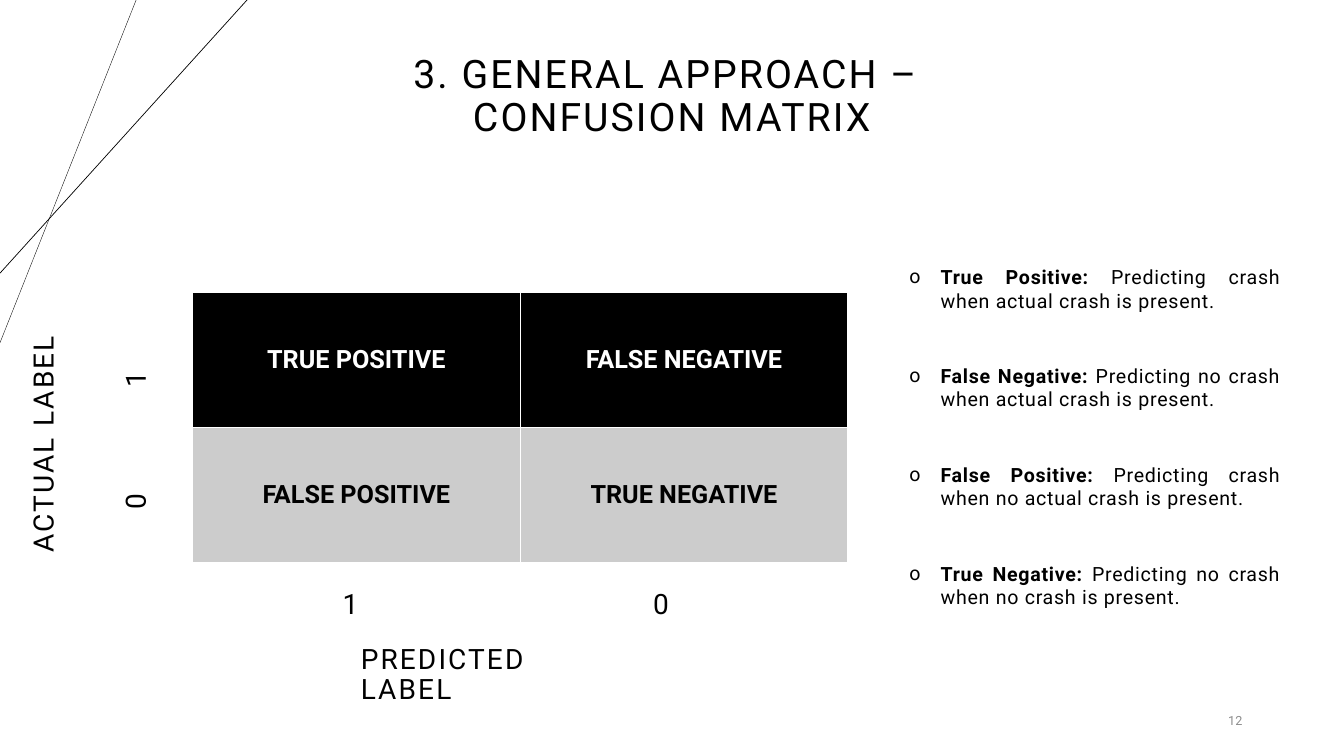
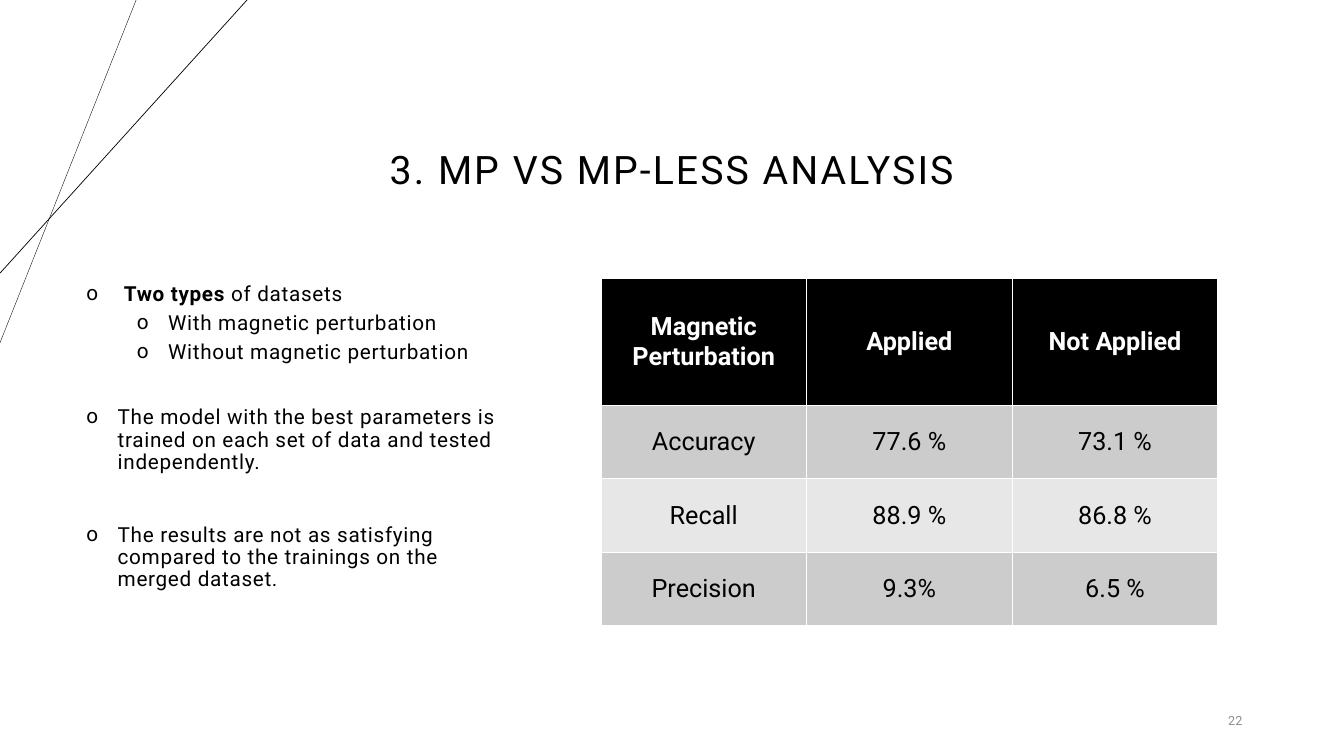
from pptx import Presentation
from pptx.dml.color import RGBColor
from pptx.enum.shapes import MSO_CONNECTOR
from pptx.enum.text import MSO_ANCHOR, PP_ALIGN
from pptx.oxml.ns import qn
from pptx.util import Inches, Pt
from lxml.etree import SubElement

BLACK = RGBColor(0x00, 0x00, 0x00)
WHITE = RGBColor(0xFF, 0xFF, 0xFF)
GREY = RGBColor(0xCC, 0xCC, 0xCC)
PALE = RGBColor(0xE7, 0xE7, 0xE7)
DIM = RGBColor(0x8C, 0x8C, 0x8C)
FONT = "Roboto"

TITLE = {"size": Pt(28)}
LABEL = {"size": Pt(20)}
NUMBER = {"size": Pt(9)}
CELL = {"size": Pt(18)}


def fill(para, runs, form, color=BLACK, track=0, bullet=None, **layout):
    """Write (text, bold) runs; track is letter spacing in points, bullet its indent in inches."""
    if bullet:
        left, hang = bullet
        props = para._p.get_or_add_pPr()
        props.set("marL", str(Inches(left)))
        props.set("indent", str(-Inches(hang)))
        SubElement(props, qn("a:buFont")).set("typeface", FONT)
        SubElement(props, qn("a:buChar")).set("char", "o")
    for name, value in layout.items():
        setattr(para, name, value)
    for text, bold in runs:
        for num, part in enumerate(text.split("\n")):
            if num:
                para.add_line_break()
            run = para.add_run()
            run.text = part
            for name, value in {"name": FONT, "bold": bold, **form}.items():
                setattr(run.font, name, value)
            run.font.color.rgb = color
            if track:
                run._r.get_or_add_rPr().set("spc", str(int(track * 100)))


def box(slide, place, anchor=MSO_ANCHOR.TOP, turn=0):
    shape = slide.shapes.add_textbox(*map(Inches, place))
    shape.rotation = turn
    frame = shape.text_frame
    frame.word_wrap = True
    frame.vertical_anchor = anchor
    return frame


deck = Presentation()
deck.slide_width, deck.slide_height = Inches(13.33), Inches(7.5)

# Slides: title, title top, page number, table place, column width, row heights, cells
PAGES = [
    ("3. GENERAL APPROACH – \nCONFUSION MATRIX", 0.24, "12",
     (1.91, 2.9), 3.25, [1.34, 1.34],
     [["TRUE POSITIVE", "FALSE NEGATIVE"],
      ["FALSE POSITIVE", "TRUE NEGATIVE"]]),
    ("3. MP VS MP-LESS ANALYSIS", 0.98, "22",
     (5.96, 2.76), 2.04, [1.26, 0.73, 0.73, 0.73],
     [["Magnetic Perturbation", "Applied", "Not Applied"],
      ["Accuracy", "77.6 %", "73.1 %"],
      ["Recall", "88.9 %", "86.8 %"],
      ["Precision", "9.3%", "6.5 %"]]),
]

slides = []
for title, top, number, place, wide, highs, rows in PAGES:
    slide = deck.slides.add_slide(deck.slide_layouts[6])
    slides.append(slide)
    for right, low, weight in [(1.35, 3.4, 0.25), (2.45, 2.71, 0.5)]:
        line = slide.shapes.add_connector(
            MSO_CONNECTOR.STRAIGHT, Inches(right), 0, 0, Inches(low))
        line.line.color.rgb = BLACK
        line.line.width = Pt(weight)
        SubElement(line._element.spPr, qn("a:effectLst"))

    frame = box(slide, (2.06, top, 9.21, 1.45), MSO_ANCHOR.MIDDLE)
    fill(frame.paragraphs[0], [(title, False)], TITLE, track=1.5,
         alignment=PP_ALIGN.CENTER, line_spacing=0.9)
    frame = box(slide, (9.42, 6.95, 3, 0.4), MSO_ANCHOR.MIDDLE)
    fill(frame.paragraphs[0], [(number, False)], NUMBER, DIM,
         alignment=PP_ALIGN.RIGHT)

    size = wide * len(rows[0]), sum(highs)
    table = slide.shapes.add_table(
        len(rows), len(rows[0]), *map(Inches, place + size)).table
    for col in table.columns:
        col.width = Inches(wide)
    for r, texts in enumerate(rows):
        table.rows[r].height = Inches(highs[r])
        for c, text in enumerate(texts):
            cell = table.cell(r, c)
            cell.vertical_anchor = MSO_ANCHOR.MIDDLE
            cell.fill.solid()
            cell.fill.fore_color.rgb = BLACK if r == 0 else GREY if r % 2 else PALE
            fill(cell.text_frame.paragraphs[0],
                 [(text, r == 0 or len(rows) == 2)], CELL,
                 WHITE if r == 0 else BLACK, alignment=PP_ALIGN.CENTER)

matrix, study = slides

# Axis labels of the confusion matrix
for text, place, turn, space in [
    ("ACTUAL LABEL", (-0.73, 4.18, 2.4, 0.4), 270, 0.8),
    ("1", (1.2, 3.56, 0.37, 0.4), 270, 0.8),
    ("0", (1.2, 4.77, 0.37, 0.4), 270, 0.8),
    ("1", (3.3, 5.83, 0.37, 0.4), 0, 0.8),
    ("0", (6.38, 5.83, 0.37, 0.4), 0, 0.8),
    ("PREDICTED LABEL", (3.48, 6.35, 2.75, 0.54), 0, 0.9),
]:
    frame = box(matrix, place, turn=turn)
    fill(frame.paragraphs[0], [(text, False)], LABEL, track=1.5,
         line_spacing=space)

# Bullet lists: runs, indent, space before
TERMS = [
    ("True Positive: ", "Predicting crash when actual crash is present."),
    ("False Negative: ", "Predicting no crash when actual crash is present."),
    ("False Positive: ", "Predicting crash when no actual crash is present."),
    ("True Negative: ", "Predicting no crash when no crash is present."),
]
MAIN, SUB = (0.31, 0.31), (0.81, 0.31)
terms = [([(term, True), (text, False)], MAIN, 37) for term, text in TERMS]
notes = [
    ([("Two types", True), (" of datasets", False)], (0.37, 0.37), 0),
    ([("With magnetic perturbation", False)], SUB, 5),
    ([("Without magnetic perturbation", False)], SUB, 5),
    ([("The model with the best parameters is trained on each set of data "
       "and tested independently.", False)], MAIN, 30.6),
    ([("The results are not as satisfying compared to the trainings on the "
       "merged dataset.", False)], MAIN, 36),
]
for slide, place, items, size, align, space in [
    (matrix, (8.92, 2.58, 3.88, 3.76), terms, 14, PP_ALIGN.JUSTIFY, 1.0),
    (study, (0.76, 2.76, 4.44, 3.44), notes, 14.8, PP_ALIGN.LEFT, 0.9),
]:
    frame = box(slide, place)
    for num, (runs, bullet, gap) in enumerate(items):
        para = frame.add_paragraph() if num else frame.paragraphs[0]
        fill(para, runs, {"size": Pt(size)}, track=0.5, bullet=bullet,
             alignment=align, line_spacing=space,
             space_before=Pt(gap if num else 0))

deck.save("out.pptx")
